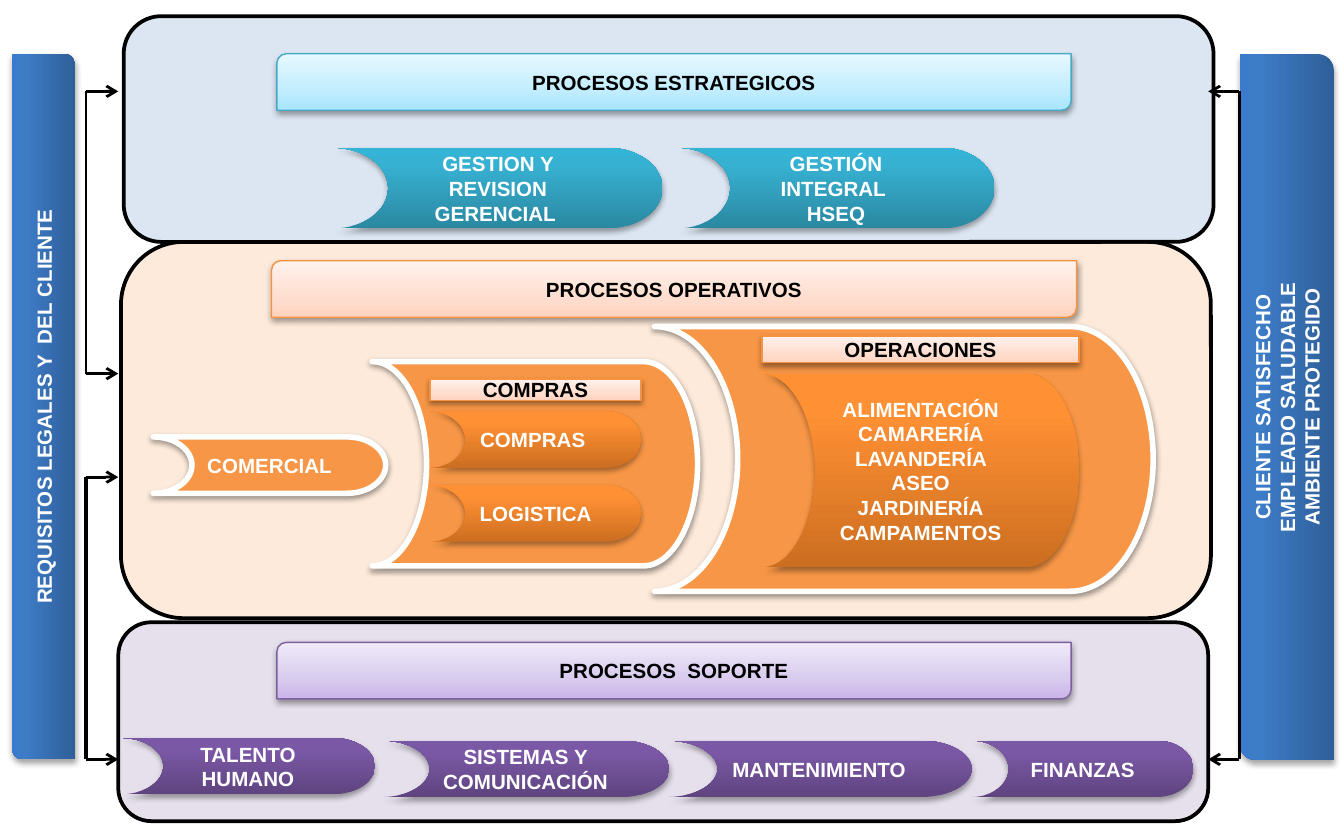
"""Builds a one-slide process map with strategic, operating and support processes."""
from lxml.etree import SubElement
from pptx import Presentation
from pptx.dml.color import RGBColor
from pptx.enum.shapes import MSO_CONNECTOR, MSO_SHAPE
from pptx.enum.text import MSO_ANCHOR, PP_ALIGN
from pptx.oxml.ns import qn
from pptx.util import Inches, Pt

BLACK = RGBColor(0x00, 0x00, 0x00)
WHITE = RGBColor(0xFF, 0xFF, 0xFF)
ORANGE = RGBColor(0xF7, 0x96, 0x46)
ORANGE_EDGE = RGBColor(0xF6, 0x92, 0x40)
TEAL_EDGE = RGBColor(0x46, 0xAA, 0xC5)
PURPLE_EDGE = RGBColor(0x7D, 0x60, 0xA0)
PALE_BLUE = RGBColor(0xDC, 0xE6, 0xF2)
PALE_ORANGE = RGBColor(0xFD, 0xEA, 0xDA)
PALE_PURPLE = RGBColor(0xE6, 0xE0, 0xEC)


def ramp(middle, *colors):
    """Return gradient stops whose middle stop sits at the given percentage."""
    return [(stop, RGBColor.from_string(color)) for stop, color in zip((0, middle, 100), colors)]


TEAL = ramp(80, "2A88A2", "37B1D2", "34B4D6")
BLUE = ramp(80, "2F5F99", "3D7CC7", "3A7CCB")
DEEP_ORANGE = ramp(80, "CC6E20", "FF9034", "FF9136")
PURPLE = ramp(80, "5F4480", "7B58A6", "7C57A8")
LIGHT_TEAL = ramp(35, "A7E6FF", "C1EDFF", "E7F8FF")
LIGHT_ORANGE = ramp(35, "FFD2BD", "FFDED0", "FFF2ED")
LIGHT_PURPLE = ramp(35, "C9B5E8", "D8CBEE", "F0EAF9")

PANELS = [
    ((0.88, 4.63, 8.11, 1.48), PALE_PURPLE),
    ((0.9, 1.8, 8.11, 2.8), PALE_ORANGE),
    ((0.92, 0.12, 8.11, 1.68), PALE_BLUE),
]
HEADERS = [
    ((2.06, 0.4, 5.91, 0.42), LIGHT_TEAL, TEAL_EDGE, "PROCESOS ESTRATEGICOS"),
    ((2.02, 1.94, 5.99, 0.42), LIGHT_ORANGE, ORANGE_EDGE, "PROCESOS OPERATIVOS"),
    ((2.06, 4.78, 5.91, 0.42), LIGHT_PURPLE, PURPLE_EDGE, "PROCESOS  SOPORTE"),
]
SIDE_BARS = [
    ((-2.3, 2.79, 5.25, 0.47), ["REQUISITOS LEGALES Y  DEL CLIENTE"]),
    ((6.95, 2.68, 5.25, 0.7), ["CLIENTE SATISFECHO", "EMPLEADO SALUDABLE", "AMBIENTE PROTEGIDO"]),
]
OUTLINED_STEPS = [
    ((1.14, 3.25, 1.73, 0.42), ["COMERCIAL"]),
    ((2.77, 2.69, 2.42, 1.52), []),
    ((4.87, 2.43, 3.71, 1.97), []),
]
STEPS = [
    ((2.48, 1.1, 2.45, 0.6), TEAL, ["GESTION Y REVISION GERENCIAL "]),
    ((5.04, 1.1, 2.36, 0.6), TEAL, ["GESTIÓN INTEGRAL ", "HSEQ"]),
    ((3.2, 3.06, 1.57, 0.42), DEEP_ORANGE, ["COMPRAS "]),
    ((3.2, 3.61, 1.57, 0.42), DEEP_ORANGE, ["LOGISTICA"]),
    ((5.67, 2.78, 2.36, 1.44), DEEP_ORANGE,
     ["ALIMENTACIÓN", "CAMARERÍA LAVANDERÍA ASEO", "JARDINERÍA", "CAMPAMENTOS"]),
    ((0.9, 5.49, 1.89, 0.42), PURPLE, ["TALENTO HUMANO"]),
    ((2.84, 5.51, 2.14, 0.42), PURPLE, ["SISTEMAS Y COMUNICACIÓN"]),
    ((4.96, 5.51, 2.27, 0.42), PURPLE, ["MANTENIMIENTO"]),
    ((7.23, 5.51, 1.65, 0.42), PURPLE, ["FINANZAS"]),
]
LABELS = [
    ((5.67, 2.5, 2.36, 0.2), "OPERACIONES"),
    ((3.2, 2.82, 1.57, 0.16), "COMPRAS"),
]
BRACKETS = [
    (0.64, 0.88, 0.68, 2.78, 1.5),
    (0.64, 0.88, 3.55, 5.65, 2.25),
    (9.22, 8.99, 0.68, 5.65, 1.5),
]
TEXT_FORMAT = {"size": Pt(11), "name": "Arial", "bold": True}


def add_gradient(box, stops):
    """Fill a shape with stops running from bottom to top."""
    box.fill.gradient()
    box.fill.gradient_angle = 90
    stop_list = box.element.spPr.find(qn("a:gradFill")).find(qn("a:gsLst"))
    stop_list.clear()
    for position, color in stops:
        stop = SubElement(stop_list, qn("a:gs"), pos=str(position * 1000))
        SubElement(stop, qn("a:srgbClr"), val=str(color))


def add_shadow(box, alpha, distance):
    """Give a shape a soft black shadow below it."""
    effects = box.element.spPr.find(qn("a:effectLst"))
    shadow = SubElement(effects, qn("a:outerShdw"), blurRad=str(Pt(3.1)), dist=str(Pt(distance)),
                        dir="5400000", rotWithShape="0")
    black = SubElement(shadow, qn("a:srgbClr"), val=str(BLACK))
    SubElement(black, qn("a:alpha"), val=str(alpha * 1000))


def add_box(page, kind, place, fill, lines=(), color=WHITE, edge=None, weight=0.75, shadow=True):
    """Add a filled shape with centred text and return it."""
    box = page.shapes.add_shape(kind, *map(Inches, place))
    box.shadow.inherit = False
    if isinstance(fill, list):
        add_gradient(box, fill)
    else:
        box.fill.solid()
        box.fill.fore_color.rgb = fill
    if edge is None:
        box.line.fill.background()
    else:
        box.line.color.rgb = edge
        box.line.width = Pt(weight)
    if shadow:
        add_shadow(box, *((35, 1.8) if edge is None else (38, 1.6)))
    frame = box.text_frame
    frame.word_wrap = True
    frame.vertical_anchor = MSO_ANCHOR.MIDDLE
    for index, line in enumerate(lines):
        para = frame.add_paragraph() if index else frame.paragraphs[0]
        para.alignment = PP_ALIGN.CENTER
        span = para.add_run()
        span.text = line
        span.font.color.rgb = color
        for key, value in TEXT_FORMAT.items():
            setattr(span.font, key, value)
    return box


def add_step(page, *args, **options):
    """Add a process step that points to the right."""
    box = add_box(page, MSO_SHAPE.FLOWCHART_STORED_DATA, *args, **options)
    box.rotation = 180
    box.element.spPr.find(qn("a:xfrm")).set("flipV", "1")


def add_line(page, start, end, weight, arrow=False):
    """Add a black line, with an arrowhead at its end if asked."""
    line = page.shapes.add_connector(MSO_CONNECTOR.STRAIGHT, *map(Inches, start + end))
    line.line.color.rgb = BLACK
    line.line.width = Pt(weight)
    if arrow:
        SubElement(line.line._get_or_add_ln(), qn("a:tailEnd"), type="arrow")
    SubElement(line.element.spPr, qn("a:effectLst"))


deck = Presentation()
deck.slide_width, deck.slide_height = Inches(10), Inches(6.25)
page = deck.slides.add_slide(deck.slide_layouts[6])

for place, fill in PANELS:
    add_box(page, MSO_SHAPE.ROUNDED_RECTANGLE, place, fill, edge=BLACK, weight=2, shadow=False)
for place, fill, edge, title in HEADERS:
    add_box(page, MSO_SHAPE.ROUND_2_DIAG_RECTANGLE, place, fill, [title], BLACK, edge)
for place, lines in SIDE_BARS:
    add_box(page, MSO_SHAPE.ROUND_2_DIAG_RECTANGLE, place, BLUE, lines).rotation = 270
for place, lines in OUTLINED_STEPS:
    add_step(page, place, ORANGE, lines, edge=WHITE, weight=3)
for place, fill, lines in STEPS:
    add_step(page, place, fill, lines)
for place, title in LABELS:
    add_box(page, MSO_SHAPE.RECTANGLE, place, LIGHT_ORANGE, [title], BLACK, ORANGE_EDGE)
for spine, tip, top, bottom, weight in BRACKETS:
    add_line(page, (spine, top), (spine, bottom), weight)
    for level in (top, bottom):
        add_line(page, (spine, level), (tip, level), 1.5, arrow=True)

deck.save("out.pptx")
